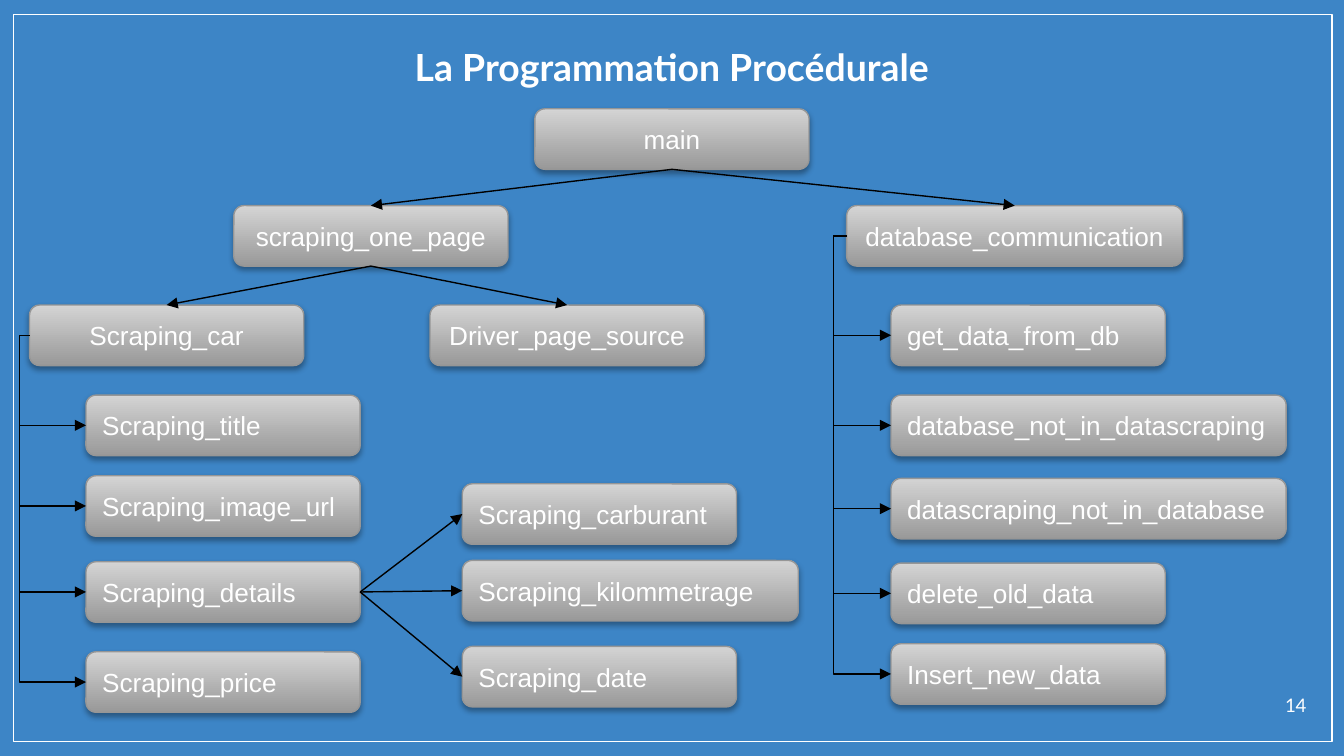
from dataclasses import dataclass

from lxml.etree import SubElement
from pptx import Presentation
from pptx.dml.color import RGBColor
from pptx.enum.shapes import MSO_CONNECTOR as Route, MSO_SHAPE as Preset
from pptx.enum.text import MSO_ANCHOR as Anchor, PP_ALIGN as Align
from pptx.oxml.ns import qn
from pptx.shapes.autoshape import Shape
from pptx.shapes.connector import Connector
from pptx.slide import Slide
from pptx.util import Inches, Pt

TOP, LEFT, BOTTOM, RIGHT = range(4)


@dataclass(frozen=True)
class Theme:
    background: RGBColor = RGBColor(0x3D, 0x85, 0xC6)
    white: RGBColor = RGBColor(0xFF, 0xFF, 0xFF)
    black: RGBColor = RGBColor(0, 0, 0)
    dark_gray: RGBColor = RGBColor(0x99, 0x99, 0x99)
    light_gray: RGBColor = RGBColor(0xD4, 0xD4, 0xD4)
    box_line: RGBColor = RGBColor(0x96, 0x96, 0x96)
    heading_font: str = "Lato"
    box_font: str = "Arial"
    title_size: float = 20
    box_size: float = 14
    number_size: float = 10
    line_width: float = 0.75


@dataclass(frozen=True)
class Function:
    name: str
    left: float
    top: float
    width: float = 2.04
    align: Align = Align.LEFT


@dataclass(frozen=True)
class Calls:
    caller: str
    callees: tuple[str, ...]
    start_side: int
    end_side: int
    bend: float | None = None


THEME = Theme()
BOX_HEIGHT = 0.45

FUNCTIONS = [
    Function("main", 3.98, 0.81, align=Align.CENTER),
    Function("scraping_one_page", 1.74, 1.53, align=Align.CENTER),
    Function("database_communication", 6.3, 1.53, 2.5, Align.CENTER),
    Function("Driver_page_source", 3.2, 2.27, align=Align.CENTER),
    Function("Scraping_car", 0.22, 2.27, align=Align.CENTER),
    Function("get_data_from_db", 6.63, 2.27),
    Function("database_not_in_datascraping", 6.63, 2.94, 2.94),
    Function("datascraping_not_in_database", 6.63, 3.56, 2.94),
    Function("delete_old_data", 6.63, 4.19),
    Function("Insert_new_data", 6.63, 4.79),
    Function("Scraping_title", 0.64, 2.94),
    Function("Scraping_image_url", 0.64, 3.54),
    Function("Scraping_details", 0.64, 4.18),
    Function("Scraping_price", 0.64, 4.85),
    Function("Scraping_carburant", 3.44, 3.6),
    Function("Scraping_kilommetrage", 3.44, 4.17, 2.5),
    Function("Scraping_date", 3.44, 4.81),
]

CALLS = [
    Calls("main", ("scraping_one_page", "database_communication"), BOTTOM, TOP),
    Calls("scraping_one_page", ("Scraping_car", "Driver_page_source"), BOTTOM, TOP),
    Calls("Scraping_details",
          ("Scraping_carburant", "Scraping_kilommetrage", "Scraping_date"), RIGHT, LEFT),
    Calls("Scraping_car",
          ("Scraping_title", "Scraping_image_url", "Scraping_details", "Scraping_price"),
          LEFT, LEFT, -0.18),
    Calls("database_communication",
          ("get_data_from_db", "database_not_in_datascraping",
           "datascraping_not_in_database", "delete_old_data", "Insert_new_data"),
          LEFT, LEFT, -0.3),
]


def write(shape: Shape, text: str, align: Align, font: str, size: float,
          bold: bool = False) -> None:
    para = shape.text_frame.paragraphs[0]
    para.text = text
    para.alignment = align
    span = para.runs[0]
    span.font.name = font
    span.font.size = Pt(size)
    span.font.bold = bold
    span.font.color.rgb = THEME.white


def add_label(page: Slide, text: str, left: float, top: float, width: float,
              height: float, align: Align, size: float, bold: bool = False) -> None:
    label = page.shapes.add_textbox(Inches(left), Inches(top), Inches(width), Inches(height))
    frame = label.text_frame
    frame.word_wrap = True
    frame.margin_top = frame.margin_bottom = Inches(0.1)
    write(label, text, align, THEME.heading_font, size, bold)


def add_frame(page: Slide) -> None:
    frame = page.shapes.add_shape(
        Preset.RECTANGLE, Inches(0.1), Inches(0.11), Inches(9.81), Inches(5.41))
    frame.shadow.inherit = False
    frame.fill.background()
    frame.line.color.rgb = THEME.white
    frame.line.width = Pt(THEME.line_width)


def add_soft_shadow(box: Shape) -> None:
    box.shadow.inherit = False
    effects = box.element.spPr.find(qn("a:effectLst"))
    shadow = SubElement(effects, qn("a:outerShdw"), blurRad="40000", dist="23000",
                        dir="5400000", rotWithShape="0")
    color = SubElement(shadow, qn("a:srgbClr"), val=str(THEME.black))
    SubElement(color, qn("a:alpha"), val="35000")


def add_function(page: Slide, function: Function) -> Shape:
    box = page.shapes.add_shape(
        Preset.ROUNDED_RECTANGLE, Inches(function.left), Inches(function.top),
        Inches(function.width), Inches(BOX_HEIGHT))
    box.fill.gradient()
    box.fill.gradient_angle = 90
    for stop, color in zip(box.fill.gradient_stops, (THEME.dark_gray, THEME.light_gray)):
        stop.color.rgb = color
    box.line.color.rgb = THEME.box_line
    box.line.width = Pt(THEME.line_width)
    add_soft_shadow(box)
    box.text_frame.vertical_anchor = Anchor.MIDDLE
    write(box, function.name, function.align, THEME.box_font, THEME.box_size)
    return box


def set_bend(arrow: Connector, bend: float) -> None:
    geometry = arrow.element.spPr.find(qn("a:prstGeom"))
    guides = geometry.find(qn("a:avLst"))
    if guides is None:
        guides = SubElement(geometry, qn("a:avLst"))
    SubElement(guides, qn("a:gd"), name="adj1", fmla=f"val {round(bend * 100000)}")


def add_arrow(page: Slide, caller: Shape, callee: Shape, calls: Calls) -> None:
    route = Route.STRAIGHT if calls.bend is None else Route.ELBOW
    arrow = page.shapes.add_connector(route, 0, 0, 0, 0)
    arrow.begin_connect(caller, calls.start_side)
    arrow.end_connect(callee, calls.end_side)
    if calls.bend is not None:
        set_bend(arrow, calls.bend)
    arrow.line.color.rgb = THEME.black
    arrow.line.width = Pt(THEME.line_width)
    SubElement(arrow.line._get_or_add_ln(), qn("a:tailEnd"), type="triangle")
    SubElement(arrow.element.spPr, qn("a:effectLst"))


def main() -> None:
    deck = Presentation()
    deck.slide_width, deck.slide_height = Inches(10), Inches(5.625)
    page = deck.slides.add_slide(deck.slide_layouts[6])
    page.background.fill.solid()
    page.background.fill.fore_color.rgb = THEME.background

    add_frame(page)
    add_label(page, "La Programmation Procédurale", 0.5, 0.23, 9, 0.45,
              Align.CENTER, THEME.title_size, bold=True)
    add_label(page, "14", 9.32, 5.08, 0.5, 0.32, Align.RIGHT, THEME.number_size)

    boxes = {function.name: add_function(page, function) for function in FUNCTIONS}
    for calls in CALLS:
        for callee in calls.callees:
            add_arrow(page, boxes[calls.caller], boxes[callee], calls)

    deck.save("out.pptx")


if __name__ == "__main__":
    main()
